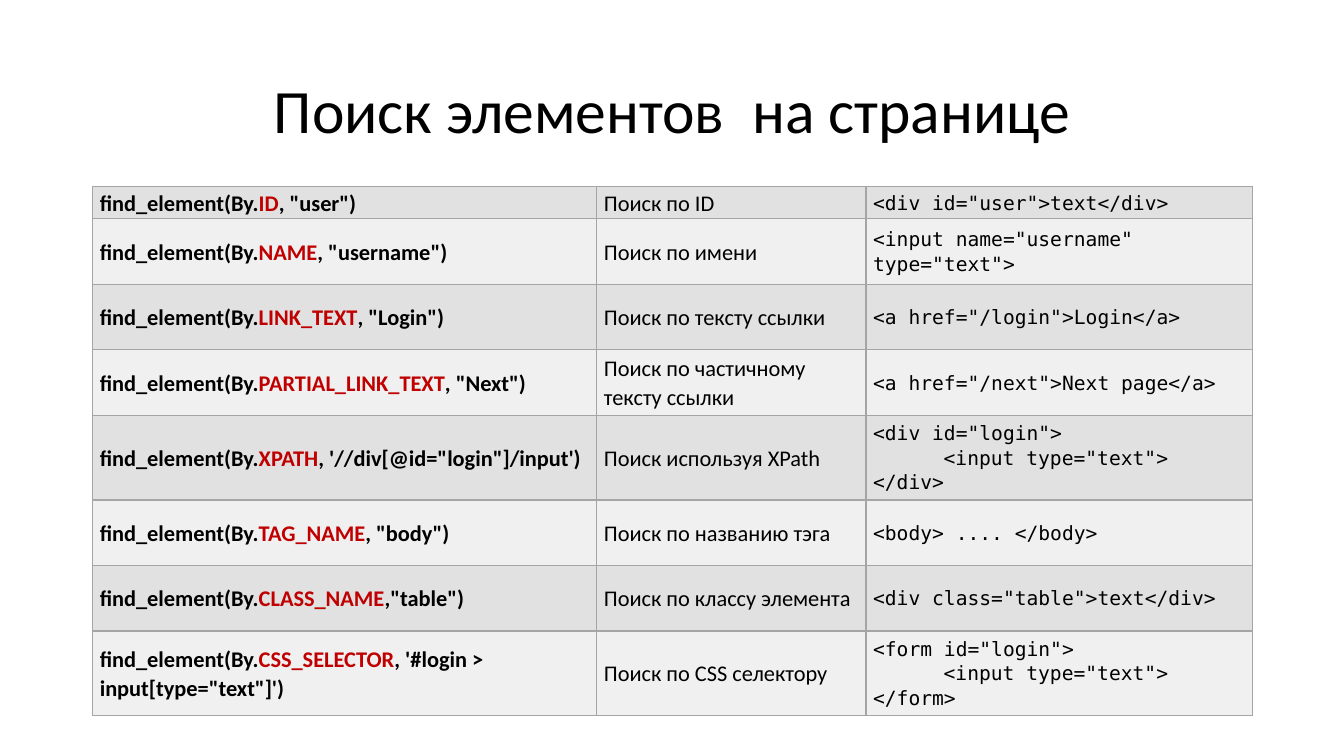
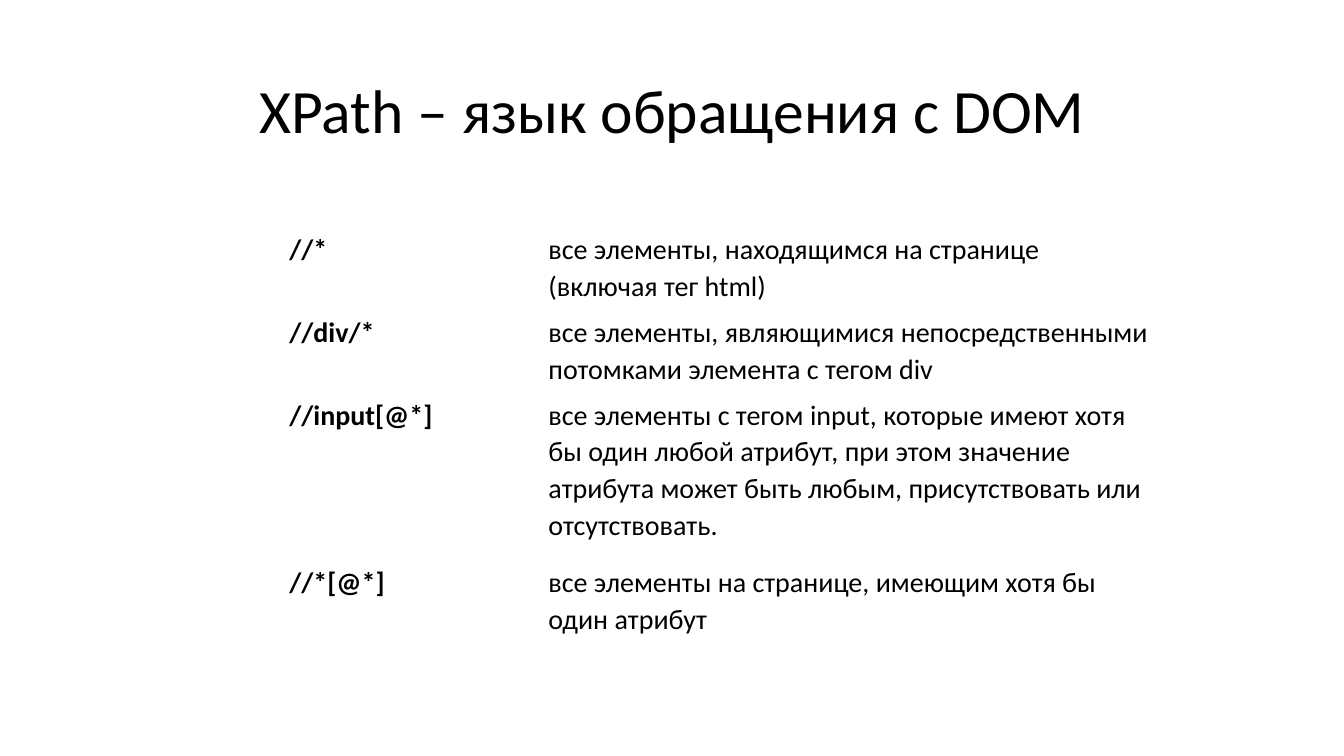
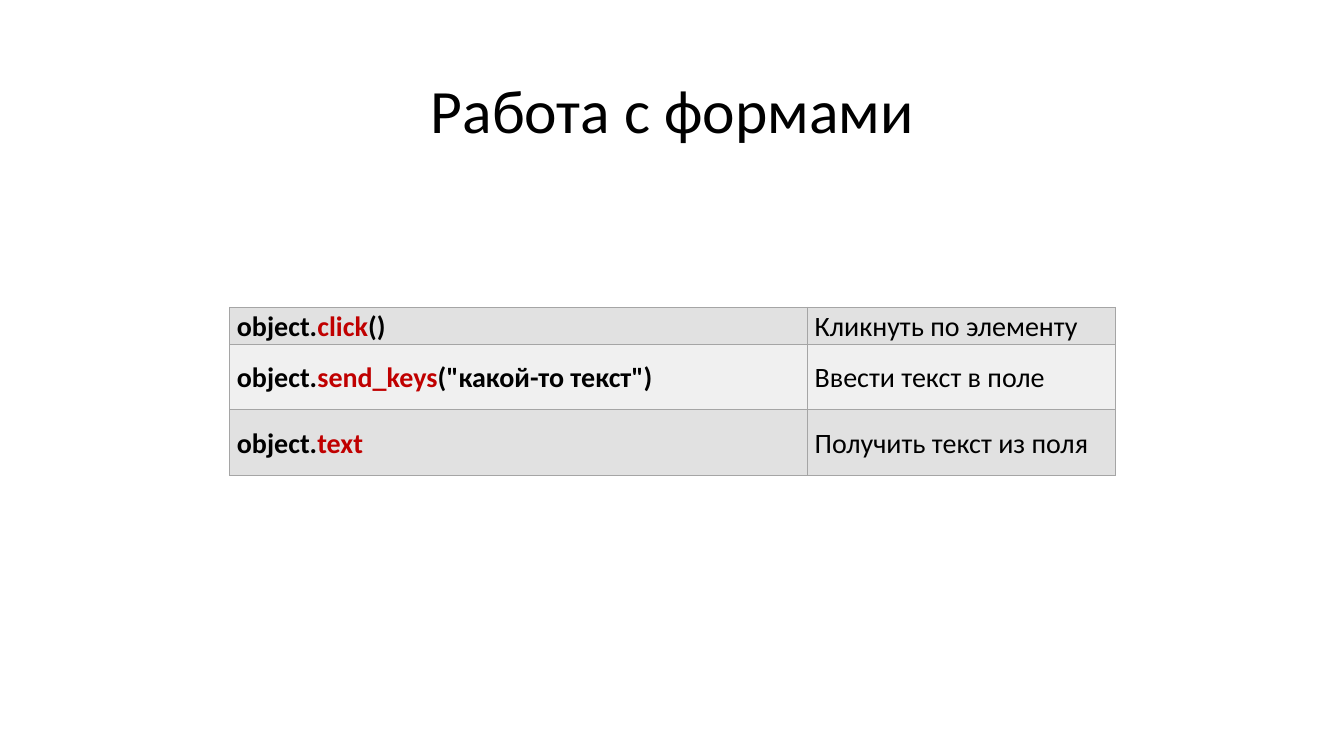
from dataclasses import dataclass
from typing import Any

from lxml.etree import SubElement
from pptx import Presentation
from pptx.dml.color import RGBColor
from pptx.enum.text import MSO_ANCHOR, PP_ALIGN
from pptx.oxml.ns import qn
from pptx.util import Inches, Pt

COLORS = {"text": "000000", "accent": "C00000", "border": "A5A5A5",
          "odd": "E1E1E1", "even": "F0F0F0"}
PLAIN_TABLE_STYLE = "{2D5ABB26-0587-4C30-8999-92F81FD0307C}"
BORDER_SIDES = ("a:lnL", "a:lnR", "a:lnT", "a:lnB")

TITLE_BOX = {"left": Inches(0.92), "top": Inches(0.4),
             "width": Inches(11.5), "height": Inches(1.45)}
TITLE_FONT = {"name": "Calibri", "size": Pt(44), "bold": False}
TITLE_PARAGRAPH = {"alignment": PP_ALIGN.CENTER, "line_spacing": 0.9}
CELL_MARGINS = {"margin_left": Inches(0.07), "margin_right": Inches(0.07),
                "margin_top": 0, "margin_bottom": 0}
CODE_INDENT = Inches(0.7)


@dataclass(frozen=True)
class Column:
    """Width in inches and the font of one table column."""
    width: float
    size: int
    bold: bool = False
    font: str = "Calibri"


@dataclass(frozen=True)
class Topic:
    """One slide: a title over a table.

    In a cell, bars enclose accented words, a line break starts a
    paragraph and a tab indents it.
    """
    title: str
    left: float
    top: float
    columns: tuple[Column, ...]
    heights: tuple[float, ...]
    rows: tuple[tuple[str, ...], ...]
    gridded: bool = True


TOPICS = (
    Topic(
        "Поиск элементов  на странице", 0.92, 1.85,
        (Column(5, 16, bold=True), Column(2.67, 16),
         Column(3.83, 14, font="DejaVu Sans Mono")),
        (0.32, 0.65, 0.65, 0.65, 0.84, 0.65, 0.65, 0.84),
        (
            ('find_element(By.|ID|, "user")', "Поиск по ID",
             '<div id="user">text</div>'),
            ('find_element(By.|NAME|, "username")', "Поиск по имени",
             '<input name="username" type="text">'),
            ('find_element(By.|LINK_TEXT|, "Login")', "Поиск по тексту ссылки",
             '<a href="/login">Login</a>'),
            ('find_element(By.|PARTIAL_LINK_TEXT|, "Next")',
             "Поиск по частичному тексту ссылки",
             '<a href="/next">Next page</a>'),
            ("find_element(By.|XPATH|, '//div[@id=\"login\"]/input')",
             "Поиск используя XPath",
             '<div id="login">\n\t<input type="text">\n</div>'),
            ('find_element(By.|TAG_NAME|, "body")', "Поиск по названию тэга",
             "<body> .... </body>"),
            ('find_element(By.|CLASS_NAME|,"table")',
             "Поиск по классу элемента", '<div class="table">text</div>'),
            ("find_element(By.|CSS_SELECTOR|, '#login > input[type=\"text\"]')",
             "Поиск по CSS селектору",
             '<form id="login">\n\t<input type="text">\n</form>'),
        ),
    ),
    Topic(
        "XPath – язык обращения с DOM", 2.8, 2.29,
        (Column(2.57, 20, bold=True), Column(6.15, 20)),
        (0.82, 0.82, 1.66, 0.82),
        (
            ("//*", "все элементы, находящимся на странице (включая тег html)"),
            ("//div/*", "все элементы, являющимися непосредственными "
             "потомками элемента с тегом div"),
            ("//input[@*]", "все элементы с тегом input, которые имеют хотя бы "
             "один любой атрибут, при этом значение атрибута может быть любым, "
             "присутствовать или отсутствовать."),
            ("//*[@*]", "все элементы на странице, имеющим хотя бы один атрибут"),
        ),
        gridded=False,
    ),
    Topic(
        "Работа с формами", 2.28, 3.05,
        (Column(5.73, 20, bold=True), Column(3.05, 20)),
        (0.32, 0.65, 0.65),
        (
            ("object.|click|()", "Кликнуть по элементу"),
            ('object.|send_keys|("какой-то текст")', "Ввести текст в поле"),
            ("object.|text|", "Получить текст из поля"),
        ),
    ),
)


def apply_format(target: Any, values: dict[str, Any]) -> None:
    """Set every named attribute on the target."""
    for name, value in values.items():
        setattr(target, name, value)


def write_title(slide: Any, wording: str) -> None:
    """Fill, place and format the title placeholder."""
    title = slide.shapes.title
    apply_format(title, TITLE_BOX)
    title.text_frame.text = wording
    title.text_frame.vertical_anchor = MSO_ANCHOR.MIDDLE
    paragraph = title.text_frame.paragraphs[0]
    apply_format(paragraph, TITLE_PARAGRAPH)
    font = paragraph.runs[0].font
    apply_format(font, TITLE_FONT)
    font.color.rgb = RGBColor.from_string(COLORS["text"])


def write_cell(cell: Any, wording: str, column: Column) -> None:
    """Write the paragraphs of a cell, accenting the words between bars."""
    apply_format(cell, CELL_MARGINS)
    lines = wording.split("\n")
    frame = cell.text_frame
    for number, line in enumerate(lines):
        paragraph = frame.add_paragraph() if number else frame.paragraphs[0]
        last = number == len(lines) - 1
        apply_format(paragraph, {"line_spacing": 1.07,
                                 "space_after": Pt(8 if last else 0)})
        if line.startswith("\t"):
            paragraph._p.get_or_add_pPr().set("marL", str(CODE_INDENT))
        for position, part in enumerate(line.strip().split("|")):
            if not part:
                continue
            run = paragraph.add_run()
            run.text = part
            apply_format(run.font, {"name": column.font, "bold": column.bold,
                                    "size": Pt(column.size)})
            color = COLORS["accent" if position % 2 else "text"]
            run.font.color.rgb = RGBColor.from_string(color)


def draw_borders(cell: Any) -> None:
    """Outline a cell; must run before its fill is set."""
    properties = cell._tc.get_or_add_tcPr()
    for side in BORDER_SIDES:
        line = SubElement(properties, qn(side), w=str(Pt(1)))
        fill = SubElement(line, qn("a:solidFill"))
        SubElement(fill, qn("a:srgbClr"), val=COLORS["border"])


def paint_cell(cell: Any, row_number: int, gridded: bool) -> None:
    """Give a cell its border and row shade, or leave it clear."""
    if not gridded:
        cell.fill.background()
        return
    cell.vertical_anchor = MSO_ANCHOR.MIDDLE
    draw_borders(cell)
    cell.fill.solid()
    shade = COLORS["even" if row_number % 2 else "odd"]
    cell.fill.fore_color.rgb = RGBColor.from_string(shade)


def add_reference(slide: Any, topic: Topic) -> None:
    """Add the table of a topic."""
    table = slide.shapes.add_table(
        len(topic.rows), len(topic.columns), Inches(topic.left),
        Inches(topic.top), Inches(sum(column.width for column in topic.columns)),
        Inches(sum(topic.heights))).table
    apply_format(table, {"first_row": False, "horz_banding": False})
    table._tbl.tblPr.find(qn("a:tableStyleId")).text = PLAIN_TABLE_STYLE
    for index, column in enumerate(topic.columns):
        table.columns[index].width = Inches(column.width)
    for row_number, (height, row) in enumerate(zip(topic.heights, topic.rows)):
        table.rows[row_number].height = Inches(height)
        for index, (wording, column) in enumerate(zip(row, topic.columns)):
            cell = table.cell(row_number, index)
            write_cell(cell, wording, column)
            paint_cell(cell, row_number, topic.gridded)


def build() -> None:
    """Build the deck and save it."""
    deck = Presentation()
    apply_format(deck, {"slide_width": Inches(13.33),
                        "slide_height": Inches(7.5)})
    title_only = deck.slide_layouts.get_by_name("Title Only")
    for topic in TOPICS:
        slide = deck.slides.add_slide(title_only)
        write_title(slide, topic.title)
        add_reference(slide, topic)
    deck.save("out.pptx")


build()
